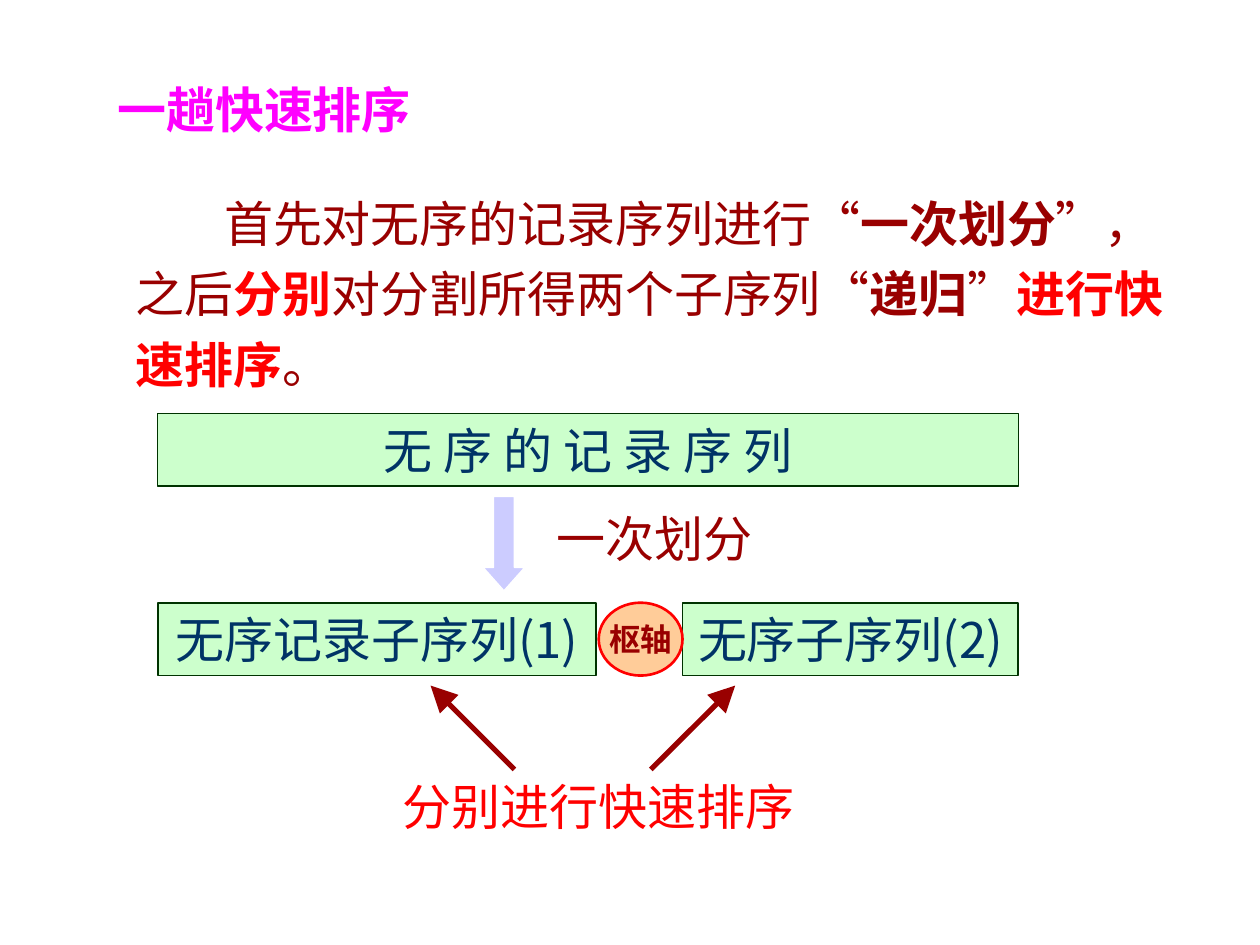
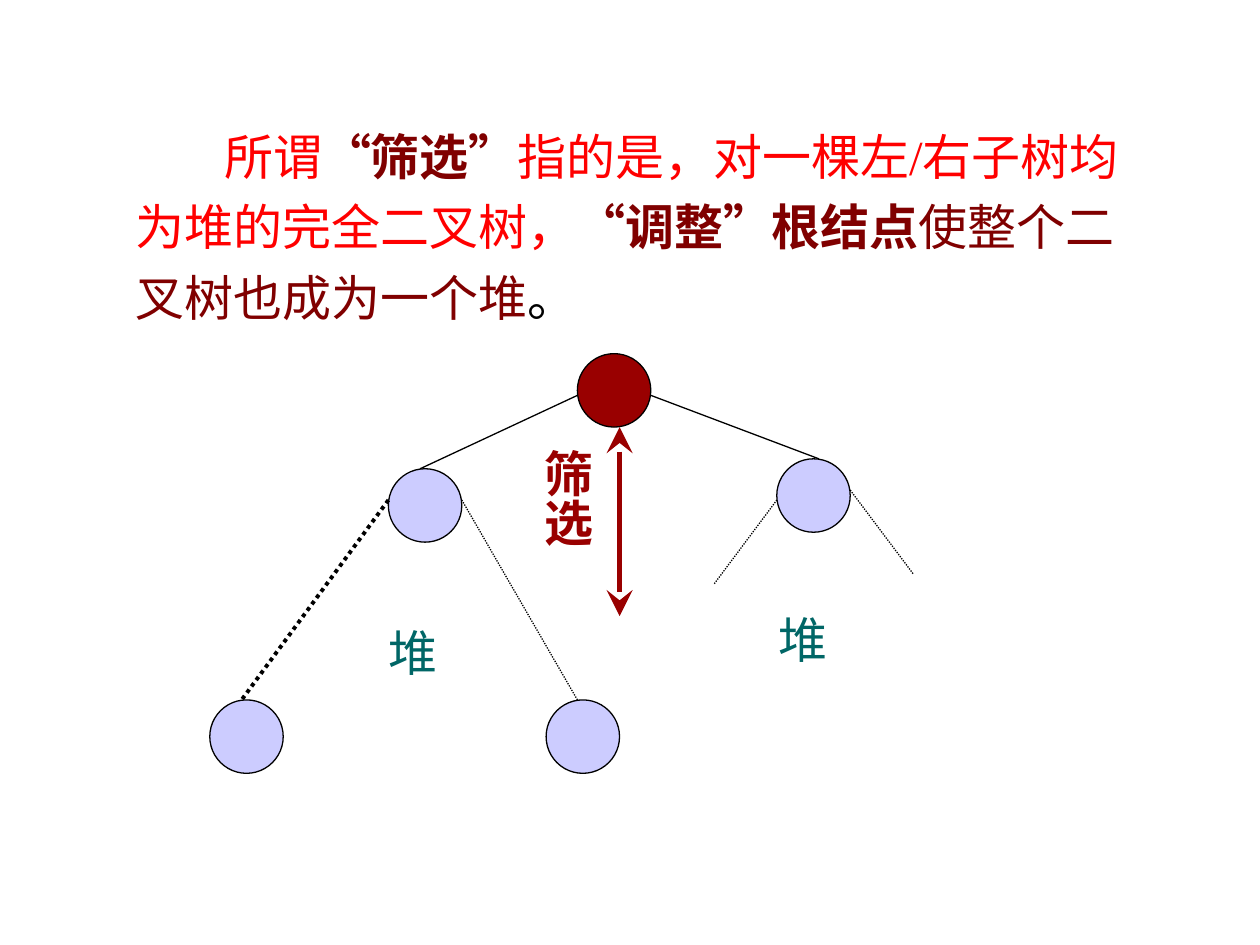
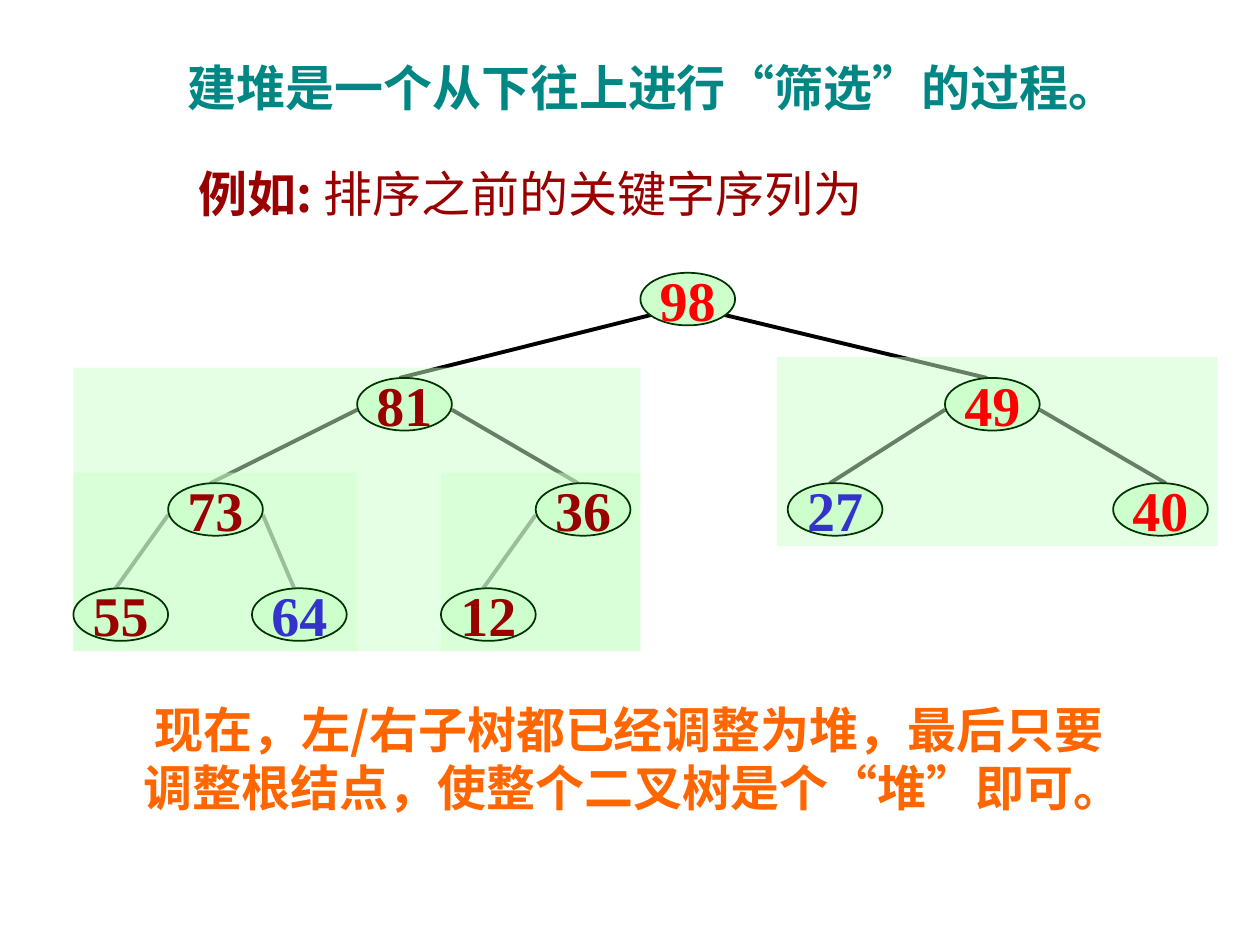
from dataclasses import dataclass

from pptx import Presentation
from pptx.dml.color import RGBColor
from pptx.enum.dml import MSO_LINE
from pptx.enum.shapes import MSO_CONNECTOR, MSO_SHAPE
from pptx.enum.text import MSO_ANCHOR, MSO_AUTO_SIZE, PP_ALIGN
from pptx.oxml.ns import qn
from pptx.oxml.xmlchemy import OxmlElement
from pptx.util import Cm, Pt

RECT, OVAL, DOWN = MSO_SHAPE.RECTANGLE, MSO_SHAPE.OVAL, MSO_SHAPE.DOWN_ARROW
STRAIGHT, DOTS = MSO_CONNECTOR.STRAIGHT, MSO_LINE.ROUND_DOT
LEFT, MID = PP_ALIGN.LEFT, PP_ALIGN.CENTER
TOP, CENTER = MSO_ANCHOR.TOP, MSO_ANCHOR.MIDDLE
FIT, FIXED = MSO_AUTO_SIZE.SHAPE_TO_FIT_TEXT, MSO_AUTO_SIZE.NONE

# Shared colours and fonts
DARK, MAROON, RED, PINK = "990000", "800000", "FF0000", "FF00FF"
MINT, FOREST, NAVY, LILAC = "CCFFCC", "003300", "003366", "CCCCFF"
TEAL, GREEN, BLUE, ORANGE = "008784", "006666", "3333CC", "FF6600"
PEACH, BLACK, WHITE = "FFCC99", "000000", "FFFFFF"
SERIF, SANS = "Times New Roman", "Noto Sans CJK SC"
INDENT = 1.78


@dataclass
class Run:
    text: str
    color: str
    bold: bool = False
    font: str = SERIF
    size: float = 28


@dataclass
class Box:
    left: float
    top: float
    width: float
    height: float


@dataclass
class Edge:
    x1: float
    y1: float
    x2: float
    y2: float
    color: str = BLACK
    width: float = 0.75
    dots: bool = False
    head: str = ""
    tail: str = ""


@dataclass
class Node:
    key: int
    left: float
    row: int
    color: str
    parent: int = 0
    joint: float = 0.85  # where the edge from the parent lands
    dip: float = 0       # how far in its own edges start


def paint(text: str) -> RGBColor:
    return RGBColor.from_string(text)


def place(shape, box: Box) -> None:
    shape.left, shape.top = Cm(box.left), Cm(box.top)
    shape.width, shape.height = Cm(box.width), Cm(box.height)


def write(shape, runs: list[Run], wrap: bool = False, align=LEFT, anchor=TOP,
          fit=FIT, space: float = 1, indent: float = 0) -> None:
    frame = shape.text_frame
    frame.word_wrap, frame.auto_size = wrap, fit
    frame.vertical_anchor = anchor
    para = frame.paragraphs[0]
    para.alignment, para.line_spacing = align, space
    if indent:
        para._p.get_or_add_pPr().set("indent", str(Cm(indent)))
    for item in runs:
        run = para.add_run()
        run.text = item.text
        font = run.font
        font.size, font.bold, font.name = Pt(item.size), item.bold, item.font
        font.color.rgb = paint(item.color)
        east = OxmlElement("a:ea")
        east.set("typeface", SANS)
        run._r.get_or_add_rPr().append(east)


def inset(shape, side: float) -> None:
    frame = shape.text_frame
    frame.margin_left = frame.margin_right = Cm(side)
    frame.margin_top = frame.margin_bottom = Cm(0)


def title(slide, box: Box, run: Run) -> None:
    place(slide.shapes.title, box)
    write(slide.shapes.title, [run])


def label(slide, box: Box, runs: list[Run], **style):
    shape = slide.shapes.add_textbox(0, 0, 0, 0)
    place(shape, box)
    write(shape, runs, **style)
    return shape


def draw(slide, kind, box: Box, fill: str, line: str = "", width: float = 0.75,
         alpha: int = 100):
    shape = slide.shapes.add_shape(kind, 0, 0, 0, 0)
    place(shape, box)
    shape.shadow.inherit = False
    shape.fill.solid()
    shape.fill.fore_color.rgb = paint(fill)
    if alpha < 100:
        tone = shape._element.spPr.find(".//" + qn("a:srgbClr"))
        part = OxmlElement("a:alpha")
        part.set("val", str(alpha * 1000))
        tone.append(part)
    if line:
        shape.line.color.rgb = paint(line)
        shape.line.width = Pt(width)
    else:
        shape.line.fill.background()
    return shape


def join(slide, edge: Edge) -> None:
    link = slide.shapes.add_connector(STRAIGHT, Cm(edge.x1), Cm(edge.y1),
                                      Cm(edge.x2), Cm(edge.y2))
    link.line.color.rgb = paint(edge.color)
    link.line.width = Pt(edge.width)
    if edge.dots:
        link.line.dash_style = DOTS
    for tag, kind in (("a:headEnd", edge.head), ("a:tailEnd", edge.tail)):
        if kind:
            tip = OxmlElement(tag)
            for name, value in (("type", kind), ("w", "lg"), ("len", "lg")):
                tip.set(name, value)
            link.line._get_or_add_ln().append(tip)
    link._element.spPr.append(OxmlElement("a:effectLst"))


def quick(slide) -> None:
    title(slide, Box(2.11, 1.47, 6.48, 1.45), Run("一趟快速排序", PINK, True))
    label(slide, Box(2.49, 3.53, 21.41, 4.52), [
        Run("首先对无序的记录序列进行“", DARK), Run("一次划分", DARK, True),
        Run("”，之后", DARK), Run("分别", RED, True),
        Run("对分割所得两个子序列“", DARK), Run("递归", DARK, True),
        Run("”", DARK), Run("进行快速排序", RED, True), Run("。", DARK),
    ], wrap=True, space=1.2, indent=INDENT)

    # Sequence bars before and after the split, each on one line
    bars = [
        (Box(3.18, 8.33, 17.35, 1.47), "无 序 的 记 录 序 列", 0.75),
        (Box(3.18, 12.15, 8.84, 1.47), "无序记录子序列(1)", 1),
        (Box(13.76, 12.15, 6.77, 1.47), "无序子序列(2)", 1),
    ]
    for box, text, width in bars:
        bar = draw(slide, RECT, box, MINT, FOREST, width)
        write(bar, [Run(text, NAVY, font=SANS)], align=MID, anchor=CENTER,
              fit=FIXED)
        inset(bar, 0.1)
    pivot = draw(slide, OVAL, Box(12.07, 12.15, 1.69, 1.47), PEACH, RED, 1.5)
    write(pivot, [Run("枢轴", DARK, True, size=18)], align=MID, anchor=CENTER,
          fit=FIXED)

    # Split arrow and the two recursive calls
    arrow = draw(slide, DOWN, Box(9.74, 10.01, 0.84, 1.9), LILAC, WHITE)
    arrow.adjustments[0], arrow.adjustments[1] = 0.5, 0.56
    label(slide, Box(10.97, 10.13, 4.47, 1.45), [Run("一次划分", DARK)])
    for start, end in ((10.37, 8.68), (13.12, 14.82)):
        join(slide, Edge(start, 15.51, end, 13.82, DARK, 3, tail="triangle"))
    label(slide, Box(7.87, 15.52, 8.41, 1.45), [Run("分别进行快速排序", RED)])


def sift(slide) -> None:
    label(slide, Box(2.49, 2.18, 20.6, 4.52), [
        Run("所谓", RED), Run("“筛选”", MAROON, True),
        Run("指的是，对一棵左/右子树均为堆的完全二叉树，", RED),
        Run("“调整”根结点", MAROON, True),
        Run("使整个二叉树也成为一个堆", MAROON), Run("。", BLACK),
    ], wrap=True, space=1.2, indent=INDENT)

    # Tree
    dots = [(11.64, 7.13, DARK), (7.83, 9.45, LILAC), (15.66, 9.25, LILAC),
            (4.23, 14.11, LILAC), (11.01, 14.11, LILAC)]
    for left, top, color in dots:
        draw(slide, OVAL, Box(left, top, 1.48, 1.48), color, BLACK)
    for edge in (
        Edge(11.64, 7.97, 8.47, 9.45),
        Edge(13.12, 7.97, 16.51, 9.25),
        Edge(7.83, 10.08, 4.87, 14.11, width=2.25, dots=True),
        Edge(9.31, 10.08, 11.64, 14.11, dots=True),
        Edge(15.66, 10.08, 14.39, 11.78, dots=True),
        Edge(17.14, 9.88, 18.41, 11.57, dots=True),
    ):
        join(slide, edge)
    for left, top in ((7.59, 12.42), (15.44, 12.17)):
        label(slide, Box(left, top, 1.5, 1.45), [Run("堆", GREEN)])

    # Sifting direction, with its name left of the arrow
    join(slide, Edge(12.49, 8.61, 12.49, 12.42, DARK, 3,
                     head="stealth", tail="stealth"))
    side = label(slide, Box(10.45, 8.81, 1.7, 4.27), [Run("筛选", DARK, True)],
                 wrap=True)
    side.text_frame._txBody.bodyPr.set("vert", "eaVert")


def heap(slide) -> None:
    title(slide, Box(3.53, 1.04, 19.35, 1.45),
          Run("建堆是一个从下往上进行“筛选”的过程。", TEAL, True))
    label(slide, Box(3.76, 3.18, 14.35, 1.45), [
        Run("例如: ", DARK, True, SANS),
        Run("排序之前的关键字序列为", DARK, font=SANS)])

    first, step, wide, high = 5.5, 2.12, 1.91, 1.06
    nodes = [
        Node(98, 12.91, 0, RED, dip=0.21),
        Node(81, 7.2, 1, DARK, 98), Node(49, 19.05, 1, RED, 98),
        Node(73, 3.39, 2, DARK, 81), Node(36, 10.8, 2, DARK, 81),
        Node(27, 15.88, 2, BLUE, 49), Node(40, 22.44, 2, RED, 49, 1.06),
        Node(55, 1.48, 3, DARK, 73), Node(64, 5.08, 3, BLUE, 73),
        Node(12, 8.89, 3, DARK, 36),
    ]
    index = {node.key: node for node in nodes}

    # Edges, then subtree panels, then nodes on top
    for node in nodes[1:]:
        up = index[node.parent]
        start = up.left + (up.dip if node.left < up.left else wide - up.dip)
        join(slide, Edge(start, first + up.row * step + 0.64 + up.dip,
                         node.left + node.joint, first + node.row * step,
                         width=2.25))
    for panel in (Box(8.89, 9.53, 4.02, 3.6), Box(1.48, 9.53, 5.72, 3.6),
                  Box(15.66, 7.2, 8.89, 3.81), Box(1.48, 7.41, 11.43, 5.72)):
        draw(slide, RECT, panel, MINT, alpha=50)
    for node in nodes:
        box = Box(node.left, first + node.row * step, wide, high)
        oval = draw(slide, OVAL, box, MINT, FOREST, 1)
        write(oval, [Run(str(node.key), node.color, True, size=32)],
              align=MID, anchor=CENTER, fit=FIXED)
        inset(oval, 0)

    label(slide, Box(2.65, 13.97, 20.68, 2.62), [
        Run("现在，左/右子树都已经调整为堆，最后只要调整根结点，使整个二叉树是个",
            ORANGE, True, SANS),
        Run("“", ORANGE, True), Run("堆", ORANGE, True, SANS),
        Run("”", ORANGE, True), Run("即可。", ORANGE, True, SANS),
    ], wrap=True, indent=0.22)


def main() -> None:
    deck = Presentation()
    deck.slide_width, deck.slide_height = Cm(25.4), Cm(19.05)
    titled, blank = deck.slide_layouts[5], deck.slide_layouts[6]
    for build, layout in ((quick, titled), (sift, blank), (heap, titled)):
        build(deck.slides.add_slide(layout))
    deck.save("out.pptx")


if __name__ == "__main__":
    main()
